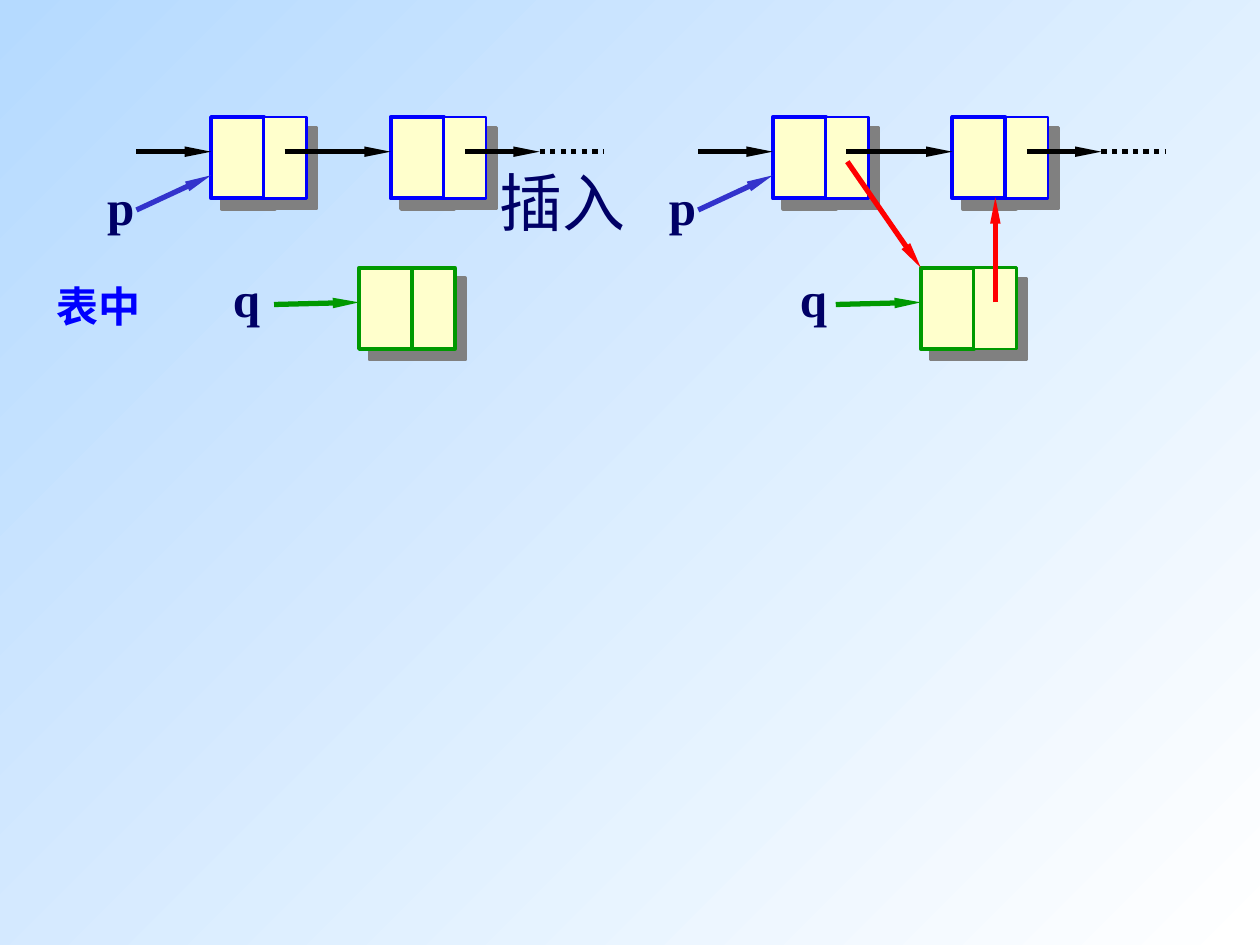
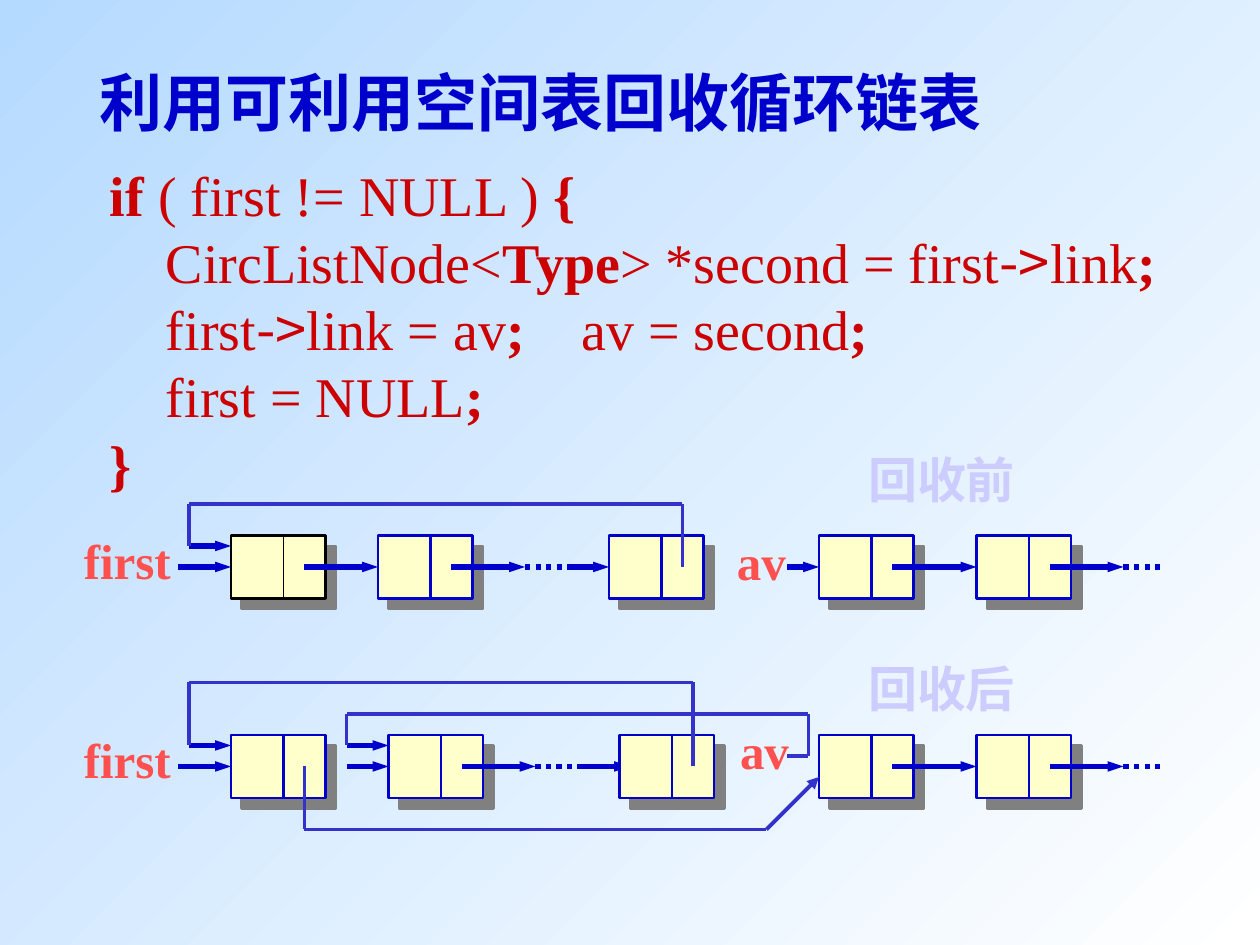
"""Build two slides on linked lists: node insertion and recycling a circular list."""
from dataclasses import dataclass
from itertools import pairwise

from lxml import etree
from pptx import Presentation
from pptx.dml.color import RGBColor
from pptx.enum.dml import MSO_LINE
from pptx.enum.shapes import MSO_CONNECTOR, MSO_SHAPE
from pptx.enum.text import MSO_ANCHOR, PP_ALIGN
from pptx.oxml.ns import qn
from pptx.util import Cm, Pt

RECTANGLE = MSO_SHAPE.RECTANGLE
STRAIGHT = MSO_CONNECTOR.STRAIGHT
DOTTED = MSO_LINE.ROUND_DOT
LEFT, CENTER = PP_ALIGN.LEFT, PP_ALIGN.CENTER
TOP, MIDDLE = MSO_ANCHOR.TOP, MSO_ANCHOR.MIDDLE


@dataclass(frozen=True)
class Theme:
    sky: str = "B5DAFF"
    white: str = "FFFFFF"
    node: str = "FFFFCC"
    shadow: str = "808080"
    black: str = "000000"
    blue: str = "0000FF"
    deep_blue: str = "0000CC"
    violet: str = "3333CC"
    green: str = "009900"
    red: str = "FF0000"
    navy: str = "000066"
    code: str = "CC0000"
    pointer: str = "FF5050"
    caption: str = "CCCCFF"
    latin: str = "Times New Roman"
    chinese: str = "Noto Sans CJK SC"
    title_size: float = 36
    code_size: float = 32
    code_pitch: float = 38.4
    label_size: float = 28
    note_size: float = 24
    hair: float = 0.75
    thin: float = 1.5
    medium: float = 2.25
    thick: float = 3
    shadow_distance: float = 8.5


THEME = Theme()
GRID = 25.4 / 120

PANEL_STEP = 53.5
UPPER_TOP, LOWER_TOP, CELL_HEIGHT = 11.15, 25.5, 7.75
DATA_WIDTH, LINK_WIDTH = 5.05, 4.05
PANEL_NODES = [
    (20.1, UPPER_TOP, THEME.blue),
    (37.2, UPPER_TOP, THEME.blue),
    (34.2, LOWER_TOP, THEME.green),
]
PANEL_ARROWS = [
    ((13, 14.45), (20.1, 14.45), THEME.black),
    ((27.1, 14.45), (37.2, 14.45), THEME.black),
    ((44.3, 14.45), (51.4, 14.45), THEME.black),
    ((13, 20), (20.1, 16.7), THEME.violet),
    ((26.1, 29), (34.2, 28.8), THEME.green),
]
PANEL_DOTS = ((51.4, 14.45), (57.5, 14.45))
INSERTED_LINKS = [
    ((80.7, 15.4), (87.7, 25.5), THEME.red),
    ((94.8, 28.8), (94.8, 18.8), THEME.red),
]

CODE = [
    [("if", "b"), (" ( first != NULL ) ", ""), ("{", "b")],
    [("    CircListNode<", ""), ("Type", "b"), ("> *second = first", ""),
     ("->", "s"), ("link", ""), (";", "b")],
    [("    first", ""), ("->", "s"), ("link = av", ""), (";", "b"),
     ("    av = second", ""), (";", "b")],
    [("    first = NULL", ""), (";", "b")],
    [("}", "b")],
]

ROWS = [
    {
        "middle": 54,
        "nodes": [22, 36, 58, 78, 93],
        "black_nodes": [22],
        "covered_arrows": [],
        "arrows": [(17, 22, 0), (18, 22, -2), (29, 36, 0), (43, 50, 0),
                   (54, 58, 0), (75, 78, 0), (85, 93, 0), (100, 107, 0)],
        "dots": [(50, 54), (107, 111)],
        "paths": [([(65, 54), (65, 48), (18, 48), (18, 52)], False)],
        "labels": [("first", 6.8, 49.9, 10.7, THEME.pointer),
                   ("av", 69, 50, 7.1, THEME.pointer),
                   ("回收前", 81.5, 42.2, 18, THEME.caption)],
    },
    {
        "middle": 73,
        "nodes": [22, 37, 59, 78, 93],
        "black_nodes": [],
        "covered_arrows": [(55, 60, 0)],
        "arrows": [(17, 22, 0), (18, 22, -2), (33, 37, 0), (33, 37, -2),
                   (44, 51, 0), (85, 93, 0), (100, 107, 0)],
        "dots": [(51, 55), (107, 111)],
        "paths": [
            ([(66, 73), (66, 65), (18, 65), (18, 71)], False),
            ([(75, 72), (77, 72), (77, 68), (33, 68), (33, 71)], False),
            ([(29, 73), (29, 79), (73, 79), (78, 74)], True),
        ],
        "labels": [("first", 6.8, 68.9, 10.7, THEME.pointer),
                   ("av", 69.3, 68, 7.1, THEME.pointer),
                   ("回收后", 81.5, 62.1, 18, THEME.caption)],
    },
]


def grid(value):
    return Cm(value * GRID)


def rgb(color):
    return RGBColor.from_string(color)


def add_text(slide, lines, left, top, width, height, *, size=THEME.label_size,
             color=THEME.navy, bold=True, wrap=False, align=LEFT, anchor=TOP,
             pitch=None, inset=0.25):
    box = slide.shapes.add_textbox(*map(grid, (left, top, width, height)))
    frame = box.text_frame
    frame.word_wrap = wrap
    frame.vertical_anchor = anchor
    frame.margin_left = frame.margin_right = Cm(inset)
    frame.margin_top = frame.margin_bottom = Cm(inset / 2)
    if isinstance(lines, str):
        lines = [[(lines, "b" if bold else "")]]
    for index, pieces in enumerate(lines):
        paragraph = frame.add_paragraph() if index else frame.paragraphs[0]
        paragraph.alignment = align
        if pitch:
            paragraph.line_spacing = Pt(pitch)
        for text, style in pieces:
            run = paragraph.add_run()
            run.text = text
            run.font.name = THEME.chinese if style == "s" else THEME.latin
            run.font.size = Pt(size)
            run.font.bold = style == "b"
            run.font.color.rgb = rgb(color)
            east_asian = etree.SubElement(run.font._element, qn("a:ea"))
            east_asian.set("typeface", THEME.chinese)


def add_line(slide, start, end, color, width=THEME.thick, *, head=None, dotted=False):
    connector = slide.shapes.add_connector(STRAIGHT, *map(grid, (*start, *end)))
    connector.line.color.rgb = rgb(color)
    connector.line.width = Pt(width)
    if dotted:
        connector.line.dash_style = DOTTED
    properties = connector._element.spPr
    if head:
        head_width, head_length = head
        etree.SubElement(properties.find(qn("a:ln")), qn("a:tailEnd"),
                         type="triangle", w=head_width, len=head_length)
    etree.SubElement(properties, qn("a:effectLst"))


def add_cell(slide, left, top, width, height, color, line_width):
    shape = slide.shapes.add_shape(RECTANGLE, *map(grid, (left, top, width, height)))
    shape.fill.solid()
    shape.fill.fore_color.rgb = rgb(THEME.node)
    shape.line.color.rgb = rgb(color)
    shape.line.width = Pt(line_width)
    shape.shadow.inherit = False
    effects = shape._element.spPr.find(qn("a:effectLst"))
    shadow = etree.SubElement(effects, qn("a:outerShdw"), blurRad="0",
                              dist=str(Pt(THEME.shadow_distance)), dir="2700000",
                              algn="ctr", rotWithShape="0")
    etree.SubElement(shadow, qn("a:srgbClr"), val=THEME.shadow)


def add_insertion_panel(slide, offset, label_offset, new_link_width):
    for left, top, color in PANEL_NODES:
        link_width = new_link_width if color == THEME.green else THEME.thin
        add_cell(slide, left + offset, top, DATA_WIDTH, CELL_HEIGHT, color, THEME.medium)
        add_cell(slide, left + offset + DATA_WIDTH, top, LINK_WIDTH, CELL_HEIGHT,
                 color, link_width)
    for (x1, y1), (x2, y2), color in PANEL_ARROWS:
        add_line(slide, (x1 + offset, y1), (x2 + offset, y2), color, head=("sm", "lg"))
    (x1, y1), (x2, y2) = PANEL_DOTS
    add_line(slide, (x1 + offset, y1), (x2 + offset, y2), THEME.black, dotted=True)
    add_text(slide, "p", 9 + offset, 16.2, 5, 6.8, align=CENTER, anchor=MIDDLE)
    add_text(slide, "q", 21 + label_offset, 25, 5, 6.8)


def build_insertion(slide):
    add_insertion_panel(slide, 0, 0, THEME.medium)
    add_insertion_panel(slide, PANEL_STEP, 54, THEME.thin)
    for start, end, color in INSERTED_LINKS:
        add_line(slide, start, end, color, head=("sm", "lg"))
    add_text(slide, "插入", 46.4, 15, 14.4, 8.4, size=THEME.title_size, bold=False)
    add_text(slide, "表中", 4.2, 26.1, 13.2, 6, size=THEME.note_size,
             color=THEME.blue, wrap=True)


def add_row_arrows(slide, arrows, middle):
    for start, end, shift in arrows:
        add_line(slide, (start, middle + shift), (end, middle + shift),
                 THEME.deep_blue, head=("sm", "med"))


def add_list_row(slide, row):
    middle = row["middle"]
    add_row_arrows(slide, row["covered_arrows"], middle)
    for left in row["nodes"]:
        is_black = left in row["black_nodes"]
        color = THEME.black if is_black else THEME.deep_blue
        add_cell(slide, left, middle - 3, 9, 6, color, THEME.thin)
        add_line(slide, (left + 5, middle - 3), (left + 5, middle + 3), color,
                 THEME.hair if is_black else THEME.thin)
    add_row_arrows(slide, row["arrows"], middle)
    for start, end in row["dots"]:
        add_line(slide, (start, middle), (end, middle), THEME.deep_blue, dotted=True)
    for points, has_head in row["paths"]:
        for start, end in pairwise(points):
            head = ("med", "med") if has_head and end == points[-1] else None
            add_line(slide, start, end, THEME.violet, THEME.medium, head=head)
    for text, left, top, width, color in row["labels"]:
        add_text(slide, text, left, top, width, 6.8, color=color)


def build_recycling(slide):
    add_text(slide, CODE, 9.05, 14.55, 108, 33.5, size=THEME.code_size,
             color=THEME.code, wrap=True, pitch=THEME.code_pitch, inset=0.3)
    add_text(slide, "利用可利用空间表回收循环链表", 8.1, 5.3, 101, 8.6,
             size=THEME.title_size, color=THEME.deep_blue, wrap=True, inset=0.3)
    for row in ROWS:
        add_list_row(slide, row)


def main():
    presentation = Presentation()
    presentation.slide_width = Cm(25.4)
    presentation.slide_height = Cm(19.05)
    background = presentation.slide_master.background.fill
    background.gradient()
    background.gradient_angle = 315
    for stop, color in zip(background.gradient_stops, (THEME.sky, THEME.white)):
        stop.color.rgb = rgb(color)
    for build in (build_insertion, build_recycling):
        build(presentation.slides.add_slide(presentation.slide_layouts[6]))
    presentation.save("out.pptx")


if __name__ == "__main__":
    main()
